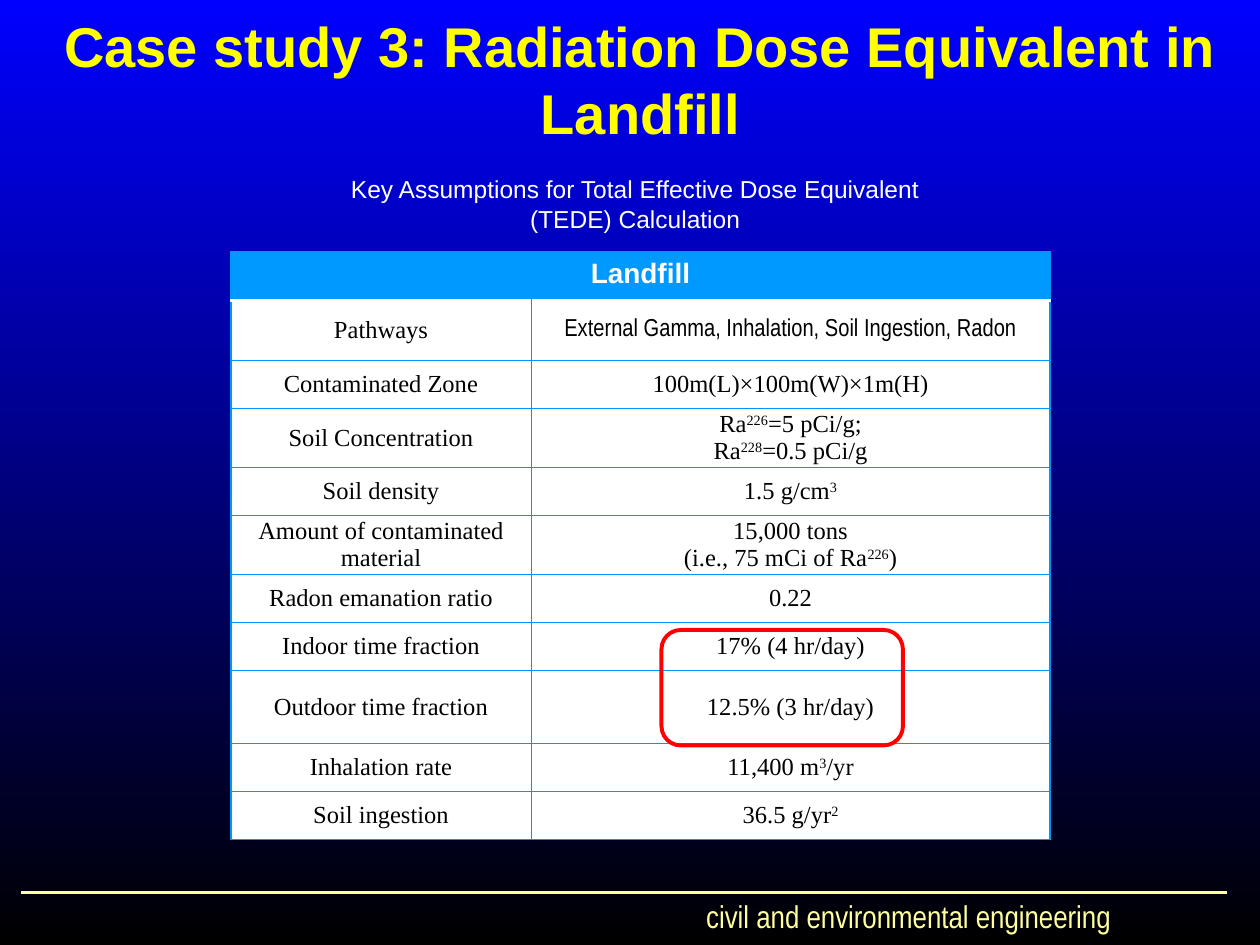
import pptx
import pptx.dml.color
import pptx.enum.shapes
import pptx.enum.text
import pptx.oxml
import pptx.oxml.ns
import pptx.util
from dataclasses import dataclass

Pt = pptx.util.Pt
RGB = pptx.dml.color.RGBColor.from_string
ALIGN = pptx.enum.text.PP_ALIGN
ANCHOR = pptx.enum.text.MSO_ANCHOR


@dataclass(frozen=True)
class Theme:
    sans: str = "Arial"
    narrow: str = "Arial Narrow"
    serif: str = "Times New Roman"
    yellow: str = "FFFF00"
    pale: str = "FFFF9D"
    white: str = "FFFFFF"
    black: str = "000000"
    blue: str = "0000FF"
    header: str = "0099FF"
    border: str = "0096F9"
    red: str = "FF0000"
    title_size: int = 32
    footer_size: int = 18
    header_size: int = 16
    body_size: int = 14


T = Theme()
ROWS = [
    ("Pathways", "External Gamma, Inhalation, Soil Ingestion, Radon"),
    ("Contaminated Zone", "100m(L)×100m(W)×1m(H)"),
    ("Soil Concentration", "Ra^226^=5 pCi/g;\nRa^228^=0.5 pCi/g"),
    ("Soil density", "1.5 g/cm^3^"),
    ("Amount of contaminated material", "15,000 tons\n(i.e., 75 mCi of Ra^226^)"),
    ("Radon emanation ratio", "0.22"),
    ("Indoor time fraction", "17% (4 hr/day)"),
    ("Outdoor time fraction", "12.5% (3 hr/day)"),
    ("Inhalation rate", "11,400 m^3^/yr"),
    ("Soil ingestion", "36.5 g/yr^2^"),
]
ROW_HEIGHT = 27.5
TALL_ROWS = {"Pathways": 34.5, "Outdoor time fraction": 41.5}


def text_format(name, size, color, bold=False):
    return {"name": name, "size": Pt(size), "bold": bold, "color": color}


def set_font(font, fmt):
    for key, value in fmt.items():
        if key == "color":
            font.color.rgb = RGB(value)
        else:
            setattr(font, key, value)


def write(tf, text, fmt, align=ALIGN.CENTER):
    """Fill a text frame; ^marks^ enclose superscripts."""
    for i, line in enumerate(text.split("\n")):
        p = tf.add_paragraph() if i else tf.paragraphs[0]
        p.alignment = align
        for j, piece in enumerate(line.split("^")):
            if piece:
                r = p.add_run()
                r.text = piece
                set_font(r.font, fmt)
                if j % 2:
                    r._r.get_or_add_rPr().set("baseline", "30000")


def add_text(s, box, text, fmt, align=ALIGN.CENTER, anchor=ANCHOR.TOP):
    tf = s.shapes.add_textbox(*map(Pt, box)).text_frame
    tf.word_wrap = True
    tf.vertical_anchor = anchor
    write(tf, text, fmt, align)


def set_borders(cell, bottom):
    """Draw the four edges of a cell; bottom is (colour, points)."""
    tcPr = cell._tc.get_or_add_tcPr()
    edges = dict.fromkeys(("lnL", "lnR", "lnT"), (T.border, 0.75))
    edges["lnB"] = bottom
    for i, (tag, (color, width)) in enumerate(edges.items()):
        ln = pptx.oxml.parse_xml(
            f'<a:{tag} {pptx.oxml.ns.nsdecls("a")} w="{Pt(width)}"><a:solidFill>'
            f'<a:srgbClr val="{color}"/></a:solidFill></a:{tag}>')
        tcPr.insert(i, ln)


def fill_cell(cell, text, fmt, fill, bottom=(T.border, 0.75)):
    cell.fill.solid()
    cell.fill.fore_color.rgb = RGB(fill)
    set_borders(cell, bottom)
    write(cell.text_frame, text, fmt)


def add_assumptions(s):
    heights = [ROW_HEIGHT] + [TALL_ROWS.get(label, ROW_HEIGHT) for label, _ in ROWS]
    table = s.shapes.add_table(len(heights), 2, Pt(132), Pt(144),
                               Pt(468), Pt(sum(heights))).table
    table.first_row = table.horz_banding = False
    for column, width in zip(table.columns, (171.5, 296.5)):
        column.width = Pt(width)
    for row, height in zip(table.rows, heights):
        row.height = Pt(height)

    table.cell(0, 0).merge(table.cell(0, 1))
    header = text_format(T.sans, T.header_size, T.white, True)
    for col, text in enumerate(("Landfill", "")):
        fill_cell(table.cell(0, col), text, header, T.header, (T.white, 2))

    margins = {"margin_left": Pt(5), "margin_right": Pt(5),
               "margin_top": 0, "margin_bottom": 0}
    for i, texts in enumerate(ROWS, 1):
        for col, text in enumerate(texts):
            cell = table.cell(i, col)
            cell.vertical_anchor = ANCHOR.MIDDLE
            is_pathways = (i, col) == (1, 1)
            if not is_pathways:
                for key, value in margins.items():
                    setattr(cell, key, value)
            name = T.narrow if is_pathways else T.serif
            fill_cell(cell, text, text_format(name, T.body_size, T.black), T.white)


def set_line(line, color, width):
    line.color.rgb = RGB(color)
    line.width = Pt(width)


def add_rule(s, x1, x2, y):
    rule = s.shapes.add_connector(pptx.enum.shapes.MSO_CONNECTOR.STRAIGHT,
                                  Pt(x1), Pt(y), Pt(x2), Pt(y))
    set_line(rule.line, T.pale, 2.25)
    rule._element.spPr.append(pptx.oxml.parse_xml(
        f'<a:effectLst {pptx.oxml.ns.nsdecls("a")}/>'))


def add_highlight(s, box):
    sp = s.shapes.add_shape(pptx.enum.shapes.MSO_SHAPE.ROUNDED_RECTANGLE,
                            *map(Pt, box))
    sp.shadow.inherit = False
    sp.fill.background()
    set_line(sp.line, T.red, 2.25)


def set_background(s):
    fill = s.background.fill
    fill.gradient()
    fill.gradient_angle = 270
    for stop, color in zip(fill.gradient_stops, (T.blue, T.black)):
        stop.color.rgb = RGB(color)


def main():
    prs = pptx.Presentation()
    prs.slide_width, prs.slide_height = Pt(720), Pt(540)
    s = prs.slides.add_slide(prs.slide_layouts[6])
    set_background(s)
    add_rule(s, 12, 701, 510)
    add_text(s, (214.5, 509, 427.5, 29), "civil and environmental engineering",
             text_format(T.narrow, T.footer_size, T.pale), ALIGN.RIGHT)
    add_text(s, (24, 0, 684, 90),
             "Case study 3: Radiation Dose Equivalent in Landfill",
             text_format(T.sans, T.title_size, T.yellow, True), anchor=ANCHOR.MIDDLE)
    add_text(s, (192, 96, 342, 41),
             "Key Assumptions for Total Effective Dose Equivalent (TEDE) Calculation",
             text_format(T.sans, T.body_size, T.white))
    add_assumptions(s)
    add_highlight(s, (378, 360, 138, 66))
    prs.save("out.pptx")


if __name__ == "__main__":
    main()
